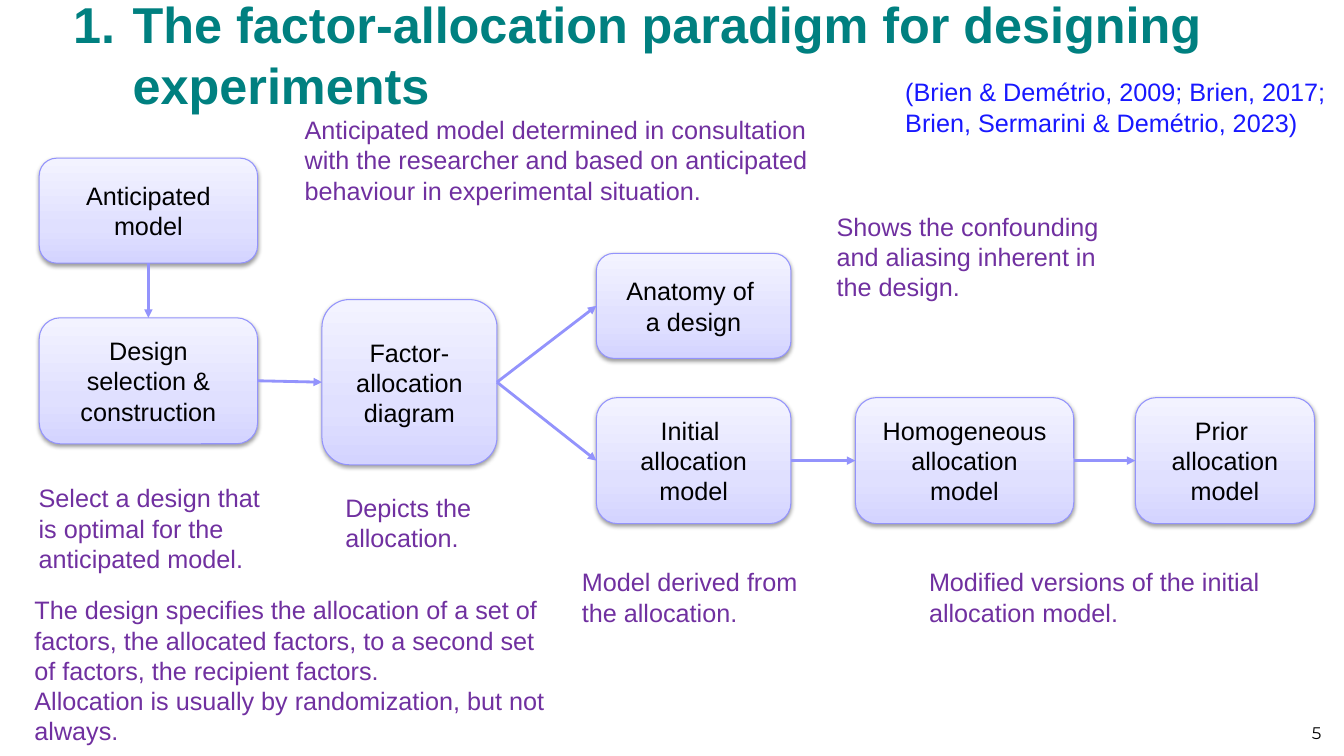
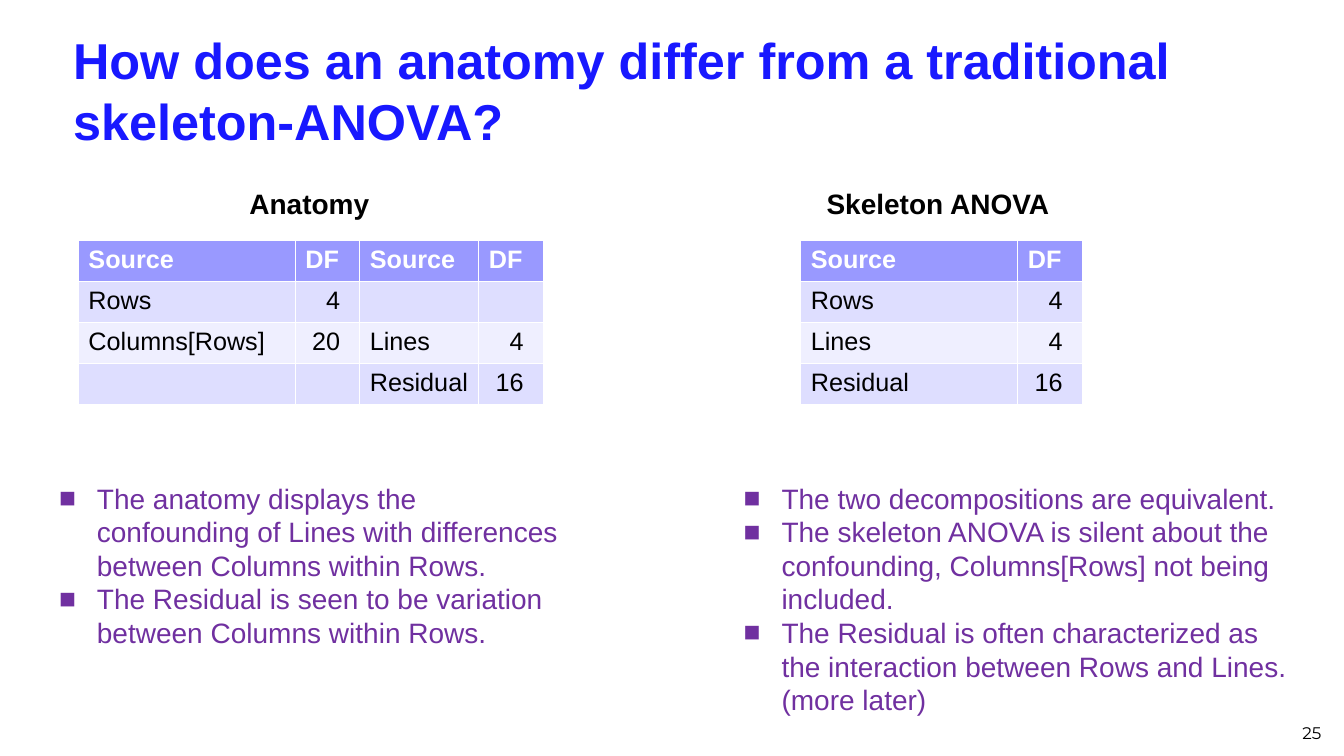
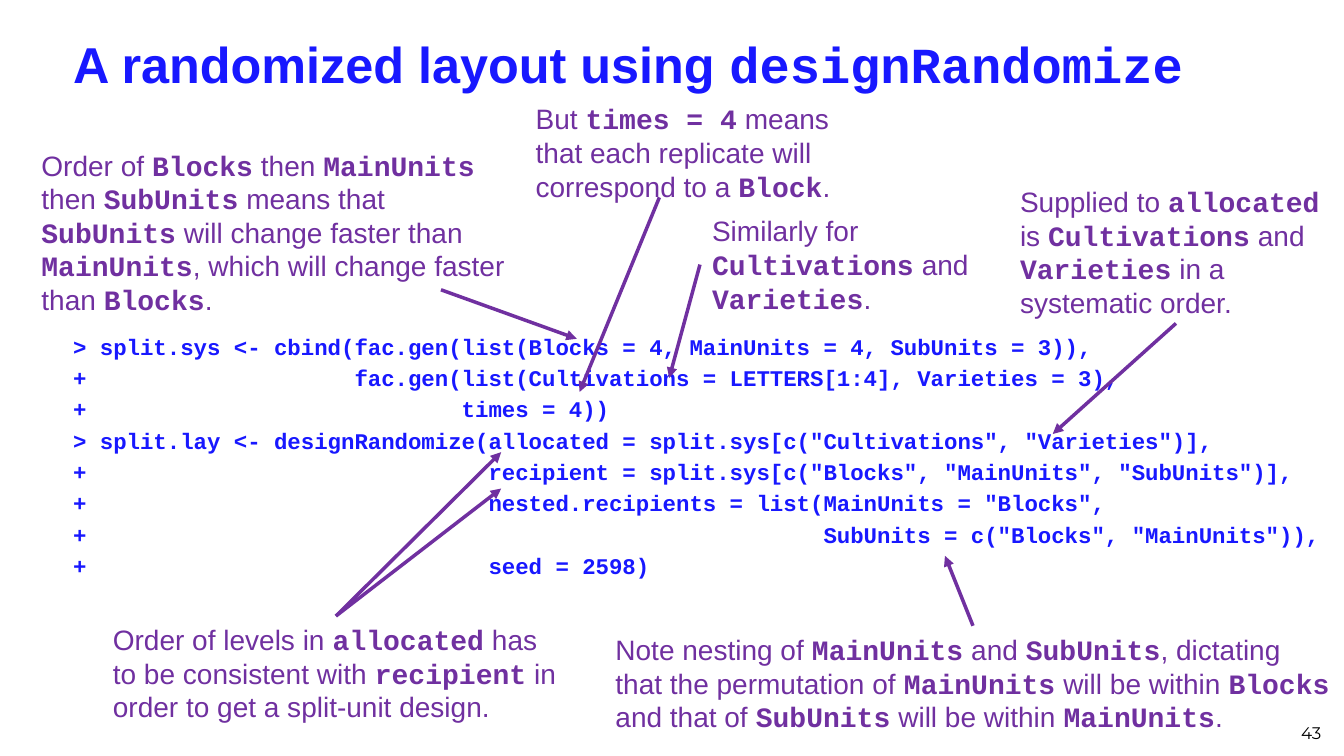
"""Builds three slides on designing experiments by factor allocation."""
from pptx import Presentation
from pptx.dml.color import RGBColor
from pptx.enum.shapes import MSO_CONNECTOR, MSO_SHAPE
from pptx.enum.text import MSO_ANCHOR, MSO_AUTO_SIZE, PP_ALIGN
from pptx.oxml import parse_xml
from pptx.oxml.ns import nsdecls, qn
from pptx.util import Pt

BLUE, TEAL, PURPLE, BLACK, WHITE = "1818FF", "008080", "7030A0", "000000", "FFFFFF"
EDGE, HEADER, BANDS = "9393FC", "9999FF", ("DEDEFF", "EFEFFF")
GRADIENT = ((0, "D4D4FF"), (35, "E0E0FF"), (100, "F3F3FF"))
SANS, MONO = "Arial", "Courier New"
TIGHT = (7.2, 3.6)
ROOMY = (9.6, 4.8)
TOP, LEFT, BOTTOM, RIGHT = range(4)

TITLE = {"size": 36, "color": BLUE, "bold": True}
NOTE = {"size": 18, "color": PURPLE}
LARGE_NOTE = {"size": 20, "color": PURPLE}
CITATION = {"size": 18, "color": BLUE}
STEP = {"size": 18, "color": BLACK, "align": PP_ALIGN.CENTER}
CAPTION = {"size": 20, "color": BLACK, "bold": True, "align": PP_ALIGN.CENTER}
NUMBER = {"size": 12, "color": BLACK, "font": "Montserrat", "align": PP_ALIGN.RIGHT}
CODE = {"size": 16, "color": BLUE, "bold": True, "font": MONO, "before": 3.2}
LIST = {**LARGE_NOTE, "bullet": "■", "indent": 27}

STEPS = {
    "anticipated": ((28, 113, 156, 75), ["Anticipated", "model"]),
    "selection": ((28, 227, 156, 90), ["Design selection &", "construction"]),
    "factor": ((230, 214, 125, 118), ["Factor-allocation diagram"]),
    "anatomy": ((426, 181, 139, 75), ["Anatomy of ", "a design"]),
    "initial": ((426, 284, 139, 90), ["Initial ", "allocation model"]),
    "homogeneous": ((611, 284, 156, 90), ["Homogeneous allocation", "model"]),
    "prior": ((811, 284, 128, 90), ["Prior ", "allocation model"]),
}
FLOWS = [
    ("anticipated", BOTTOM, "selection", TOP),
    ("selection", RIGHT, "factor", LEFT),
    ("factor", RIGHT, "anatomy", LEFT),
    ("factor", RIGHT, "initial", LEFT),
    ("initial", RIGHT, "homogeneous", LEFT),
    ("homogeneous", RIGHT, "prior", LEFT),
]
STEP_NOTES = [
    ((208, 77, 379, 70), ["Anticipated model determined in consultation with the researcher "
                          "and based on anticipated behaviour in experimental situation."]),
    ((18, 340, 179, 85), ["Select a design that is optimal for the anticipated model."]),
    ((15, 420, 391, 114), ["The design specifies the allocation of a set of factors, the allocated "
                           "factors, to a second set of factors, the recipient factors.",
                           "Allocation is usually by randomization, but not always."]),
    ((237, 347, 112, 54), ["Depicts the allocation."]),
    ((588, 146, 221, 80), ["Shows the confounding and aliasing inherent in the design."]),
    ((406, 400, 181, 56), ["Model derived from the allocation."]),
    ((654, 400, 261, 54), ["Modified versions of the initial allocation model."]),
]
CITED = ["(Brien & Demétrio, 2009; Brien, 2017;", "Brien, Sermarini & Demétrio, 2023)"]

COMPARISON = [
    {
        "caption": ("Anatomy", (109, 130, 224, 32)),
        "origin": (56, 172),
        "widths": (155, 46, 85, 46),
        "rows": [("Source", "DF", "Source", "DF"), ("Rows", "4", "", ""),
                 ("Columns[Rows]", "20", "Lines", "4"), ("", "", "Residual", "16")],
        "place": (35, 340, 384, 128),
        "points": ["The anatomy displays the confounding of Lines with differences "
                   "between Columns within Rows.",
                   "The Residual is seen to be variation between Columns within Rows."],
    },
    {
        "caption": ("Skeleton ANOVA", (558, 130, 224, 32)),
        "origin": (572, 172),
        "widths": (155, 46),
        "rows": [("Source", "DF"), ("Rows", "4"), ("Lines", "4"), ("Residual", "16")],
        "place": (524, 340, 405, 177),
        "points": ["The two decompositions are equivalent.",
                   "The skeleton ANOVA is silent about the confounding, Columns[Rows] "
                   "not being included.",
                   "The Residual is often characterized as the interaction between Rows "
                   "and Lines. (more later)"],
    },
]

LISTING = [
    '> split.sys <- cbind(fac.gen(list(Blocks = 4, MainUnits = 4, SubUnits = 3)),',
    '+                    fac.gen(list(Cultivations = LETTERS[1:4], Varieties = 3),',
    '+                            times = 4))',
    '> split.lay <- designRandomize(allocated = split.sys[c("Cultivations", "Varieties")],',
    '+                              recipient = split.sys[c("Blocks", "MainUnits", "SubUnits")],',
    '+                              nested.recipients = list(MainUnits = "Blocks",',
    '+                                                       SubUnits = c("Blocks", "MainUnits")),',
    '+                              seed = 2598)',
]
CODE_NOTES = [
    ((20, 101, 366, 107), "Order of `Blocks` then `MainUnits` then `SubUnits` means that `SubUnits` "
                          "will change faster than `MainUnits`, which will change faster than `Blocks`."),
    ((71, 440, 339, 81), "Order of levels in `allocated` has to be consistent with `recipient` "
                         "in order to get a split-unit design."),
    ((719, 127, 241, 104), "Supplied to `allocated` is `Cultivations` and `Varieties` "
                           "in a systematic order."),
    ((430, 447, 530, 74), "Note nesting of `MainUnits` and `SubUnits`, dictating that the permutation of "
                          "`MainUnits` will be within `Blocks` and that of `SubUnits` will be within "
                          "`MainUnits`."),
    ((499, 148, 213, 75), "Similarly for `Cultivations` and `Varieties`."),
    ((373, 68, 245, 75), "But `times = 4` means that each replicate will correspond to a `Block`."),
]
POINTERS = [
    (315, 207, 412, 242), (695, 447, 675, 397), (840, 231, 752, 310), (240, 440, 358, 323),
    (240, 440, 358, 349), (500, 189, 478, 270), (471, 141, 414, 280),
]


def rgb(value):
    return RGBColor.from_string(value)


def points(values):
    return [Pt(value) for value in values]


def write(frame, lines, style, insets=TIGHT, anchor=MSO_ANCHOR.TOP):
    side, edge = points(insets)
    settings = {"word_wrap": True, "auto_size": MSO_AUTO_SIZE.NONE, "vertical_anchor": anchor,
                "margin_left": side, "margin_right": side, "margin_top": edge, "margin_bottom": edge}
    for name, value in settings.items():
        setattr(frame, name, value)
    for index, line in enumerate(lines):
        para = frame.add_paragraph() if index else frame.paragraphs[0]
        fill_paragraph(para, line, style, index)


def fill_paragraph(para, line, style, index=0):
    indent = Pt(style.get("indent", 0))
    properties = para._p.get_or_add_pPr()
    properties.set("marL", str(indent))
    properties.set("indent", str(-indent))
    bullet = style.get("bullet")
    tag = f'buChar {nsdecls("a")} char="{bullet}"' if bullet else f'buNone {nsdecls("a")}'
    properties.append(parse_xml(f"<a:{tag}/>"))
    para.alignment = style.get("align", PP_ALIGN.LEFT)
    para.space_before = Pt(style.get("before", 0) if index else 0)
    for position, text in enumerate(line.split("`")):
        if not text:
            continue
        span = para.add_run()
        span.text = text
        coded = position % 2 == 1
        look = {"name": MONO if coded else style.get("font", SANS), "size": Pt(style["size"]),
                "bold": coded or style.get("bold", False)}
        for name, value in look.items():
            setattr(span.font, name, value)
        span.font.color.rgb = rgb(style["color"])


def place(box, area):
    for name, value in zip(("left", "top", "width", "height"), points(area)):
        setattr(box, name, value)


def add_text(page, area, lines, style, insets=TIGHT, anchor=MSO_ANCHOR.TOP):
    box = page.shapes.add_textbox(*points(area))
    write(box.text_frame, lines, style, insets, anchor)


def add_page(deck, layout, title, area, number, **changes):
    page = deck.slides.add_slide(deck.slide_layouts.get_by_name(layout))
    place(page.shapes.title, area)
    write(page.shapes.title.text_frame, [title], {**TITLE, **changes}, anchor=MSO_ANCHOR.MIDDLE)
    add_text(page, (727, 498, 224, 36), [str(number)], NUMBER, anchor=MSO_ANCHOR.BOTTOM)
    return page


def add_arrow(page, ends, color, width):
    arrow = page.shapes.add_connector(MSO_CONNECTOR.STRAIGHT, *points(ends))
    arrow.line.color.rgb = rgb(color)
    arrow.line.width = Pt(width)
    arrow.line._get_or_add_ln().append(parse_xml(f'<a:tailEnd {nsdecls("a")} type="triangle"/>'))
    arrow._element.spPr.append(parse_xml(f'<a:effectLst {nsdecls("a")}/>'))
    return arrow


def add_step(page, area, lines):
    box = page.shapes.add_shape(MSO_SHAPE.ROUNDED_RECTANGLE, *points(area))
    stops = "".join(f'<a:gs pos="{stop * 1000}"><a:srgbClr val="{color}"/></a:gs>'
                    for stop, color in GRADIENT)
    properties = box._element.spPr
    properties.insert(2, parse_xml(
        f'<a:gradFill {nsdecls("a")} rotWithShape="1"><a:gsLst>{stops}</a:gsLst>'
        '<a:lin ang="16200000" scaled="0"/></a:gradFill>'))
    box.line.color.rgb = rgb(EDGE)
    box.line.width = Pt(0.75)
    box.shadow.inherit = False
    properties.find(qn("a:effectLst")).append(parse_xml(
        f'<a:outerShdw {nsdecls("a")} blurRad="{Pt(3.1)}" dist="{Pt(1.6)}" dir="5400000" '
        f'rotWithShape="0"><a:srgbClr val="{BLACK}"><a:alpha val="38000"/></a:srgbClr></a:outerShdw>'))
    write(box.text_frame, lines, STEP, ROOMY, MSO_ANCHOR.MIDDLE)
    return box


def add_grid(page, origin, widths, rows):
    height = 29.2
    area = (*origin, sum(widths), height * len(rows))
    table = page.shapes.add_table(len(rows), len(widths), *points(area)).table
    for column, width in zip(table.columns, widths):
        column.width = Pt(width)
    for index, row in enumerate(rows):
        table.rows[index].height = Pt(height)
        heading = index == 0
        style = {"size": 18, "color": WHITE if heading else BLACK, "bold": heading}
        for column, text in enumerate(row):
            cell = table.cell(index, column)
            cell.fill.solid()
            cell.fill.fore_color.rgb = rgb(HEADER if heading else BANDS[(index - 1) % 2])
            numeric = text.isdigit()
            if numeric:
                cell.margin_right = Pt(14)
            align = PP_ALIGN.RIGHT if numeric else PP_ALIGN.LEFT
            fill_paragraph(cell.text_frame.paragraphs[0], text, {**style, "align": align})


def build_paradigm(deck):
    page = add_page(deck, "Title Only", "1.\tThe factor-allocation paradigm for designing experiments",
                    (45, 4, 907, 69), 5, color=TEAL, indent=42.5)
    boxes = {name: add_step(page, area, lines) for name, (area, lines) in STEPS.items()}
    for source, start, target, end in FLOWS:
        arrow = add_arrow(page, (0, 0, 0, 0), EDGE, 2)
        arrow.begin_connect(boxes[source], start)
        arrow.end_connect(boxes[target], end)
    for area, lines in STEP_NOTES:
        add_text(page, area, lines, NOTE, ROOMY)
    add_text(page, (637, 50, 323, 57), CITED, CITATION, ROOMY)


def build_comparison(deck):
    page = add_page(deck, "Two Content", "How does an anatomy differ from a traditional skeleton-ANOVA?",
                    (45, 17, 907, 94), 25)
    for index, side in enumerate(COMPARISON, 1):
        caption, area = side["caption"]
        add_text(page, area, [caption], CAPTION)
        add_grid(page, side["origin"], side["widths"], side["rows"])
        body = page.placeholders[index]
        place(body, side["place"])
        write(body.text_frame, side["points"], LIST)


def build_code(deck):
    page = add_page(deck, "Title and Content", "A randomized layout using `designRandomize`",
                    (45, 17, 907, 57), 43)
    body = page.placeholders[1]
    place(body, (45, 234, 915, 194))
    write(body.text_frame, LISTING, CODE)
    for area, text in CODE_NOTES:
        add_text(page, area, [text], LARGE_NOTE, ROOMY)
    for ends in POINTERS:
        add_arrow(page, ends, PURPLE, 2.5)


def main():
    deck = Presentation()
    deck.slide_width, deck.slide_height = points((960, 540))
    for build in (build_paradigm, build_comparison, build_code):
        build(deck)
    deck.save("out.pptx")


if __name__ == "__main__":
    main()
